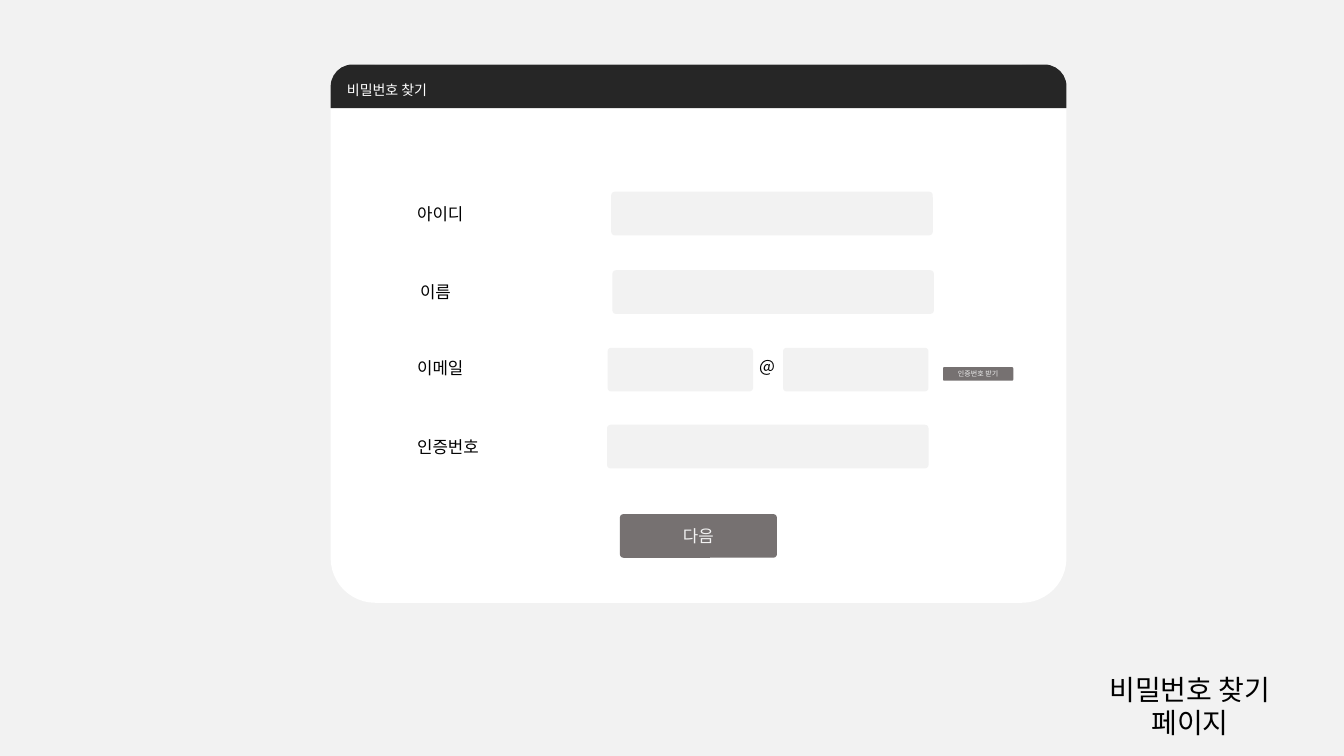
from dataclasses import dataclass

from lxml.etree import SubElement
from pptx import Presentation
from pptx.dml.color import RGBColor
from pptx.enum.shapes import MSO_SHAPE
from pptx.enum.text import MSO_ANCHOR, MSO_AUTO_SIZE, PP_ALIGN
from pptx.oxml.ns import qn
from pptx.shapes.autoshape import Shape
from pptx.util import Pt

FONT = "Noto Sans CJK KR"
LIGHT_GREY = RGBColor(0xF2, 0xF2, 0xF2)
BUTTON_GREY = RGBColor(0x76, 0x71, 0x71)
HEADER_GREY = RGBColor(0x26, 0x26, 0x26)
WHITE = RGBColor(0xFF, 0xFF, 0xFF)
BLACK = RGBColor(0, 0, 0)

CORNER = 0.083
LINE_RATIO = 1.2
FIELD_HEIGHT = 31.2
LABEL_HEIGHT = 21.6


@dataclass(frozen=True)
class Box:
    """A rectangle in points."""
    left: float
    top: float
    width: float
    height: float = FIELD_HEIGHT

    def lengths(self) -> tuple[Pt, Pt, Pt, Pt]:
        return Pt(self.left), Pt(self.top), Pt(self.width), Pt(self.height)


@dataclass(frozen=True)
class Label:
    text: str
    box: Box


@dataclass(frozen=True)
class Button:
    text: str
    box: Box
    size: float


PANEL = Box(236.2, 46.1, 525.6, 384.5)
HEADER = Box(PANEL.left, PANEL.top, PANEL.width)
PAGE_NAME = Box(743.8, 476.6, 212.4, 55.4)

FIELDS = (
    Box(436.6, 136.9, 229.7),
    Box(437.4, 193, 229.7),
    Box(434, 248.4, 103.9),
    Box(559.3, 248.4, 103.9),
    Box(433.6, 303.4, 229.7),
)
LABELS = (
    Label("아이디", Box(290.9, 141.8, 55.4, LABEL_HEIGHT)),
    Label("이름", Box(293, 197.6, 55.4, LABEL_HEIGHT)),
    Label("이메일", Box(290.9, 252, 62.6, LABEL_HEIGHT)),
    Label("인증번호", Box(290.9, 308.2, 103.7, LABEL_HEIGHT)),
    Label("@", Box(535.2, 250.6, 29.5, LABEL_HEIGHT)),
)
BUTTONS = (
    Button("인증번호 받기", Box(673.6, 262.3, 50.2, 9.6), 5),
    Button("다음", Box(442.8, 367.2, 112.2), 12),
)


def write(shape: Shape, text: str, size: float, color: RGBColor,
          alignment: PP_ALIGN = PP_ALIGN.LEFT,
          anchor: MSO_ANCHOR = MSO_ANCHOR.TOP) -> None:
    frame = shape.text_frame
    frame.text = text
    frame.word_wrap = True
    frame.auto_size = MSO_AUTO_SIZE.NONE
    frame.vertical_anchor = anchor
    for paragraph in frame.paragraphs:
        paragraph.alignment = alignment
        paragraph.line_spacing = Pt(size * LINE_RATIO)
        for run in paragraph.runs:
            run.font.size = Pt(size)
            run.font.color.rgb = color
            run.font.name = FONT
            # Korean glyphs take the East Asian typeface
            SubElement(run.font._element, qn("a:ea"), typeface=FONT)


def add_block(shapes, box: Box, color: RGBColor,
              kind: MSO_SHAPE = MSO_SHAPE.ROUNDED_RECTANGLE,
              corner: float = CORNER) -> Shape:
    """Add a flat, borderless shape with rounded corners."""
    shape = shapes.add_shape(kind, *box.lengths())
    shape.adjustments[0] = corner
    shape.shadow.inherit = False
    shape.fill.solid()
    shape.fill.fore_color.rgb = color
    shape.line.fill.background()
    return shape


def add_window(shapes) -> None:
    window = shapes.add_group_shape()
    add_block(window.shapes, PANEL, WHITE)
    header = add_block(window.shapes, HEADER, HEADER_GREY,
                       MSO_SHAPE.ROUND_2_SAME_RECTANGLE, 0.5)
    write(header, "비밀번호 찾기", 10, WHITE, anchor=MSO_ANCHOR.MIDDLE)


def add_label(shapes, label: Label) -> None:
    write(shapes.add_textbox(*label.box.lengths()), label.text, 12, BLACK)


def add_button(shapes, button: Button) -> None:
    shape = add_block(shapes, button.box, BUTTON_GREY)
    write(shape, button.text, button.size, LIGHT_GREY,
          PP_ALIGN.CENTER, MSO_ANCHOR.MIDDLE)
    shape.text_frame.word_wrap = False


def main() -> None:
    presentation = Presentation()
    presentation.slide_width, presentation.slide_height = Pt(960), Pt(540)
    slide = presentation.slides.add_slide(presentation.slide_layouts[5])
    slide.background.fill.solid()
    slide.background.fill.fore_color.rgb = LIGHT_GREY

    title = slide.shapes.title
    title.left, title.top, title.width, title.height = PAGE_NAME.lengths()
    write(title, "비밀번호 찾기\n페이지", 20, BLACK, PP_ALIGN.CENTER)

    add_window(slide.shapes)
    for field in FIELDS:
        add_block(slide.shapes, field, LIGHT_GREY)
    for label in LABELS:
        add_label(slide.shapes, label)
    for button in BUTTONS:
        add_button(slide.shapes, button)

    presentation.save("out.pptx")


if __name__ == "__main__":
    main()
